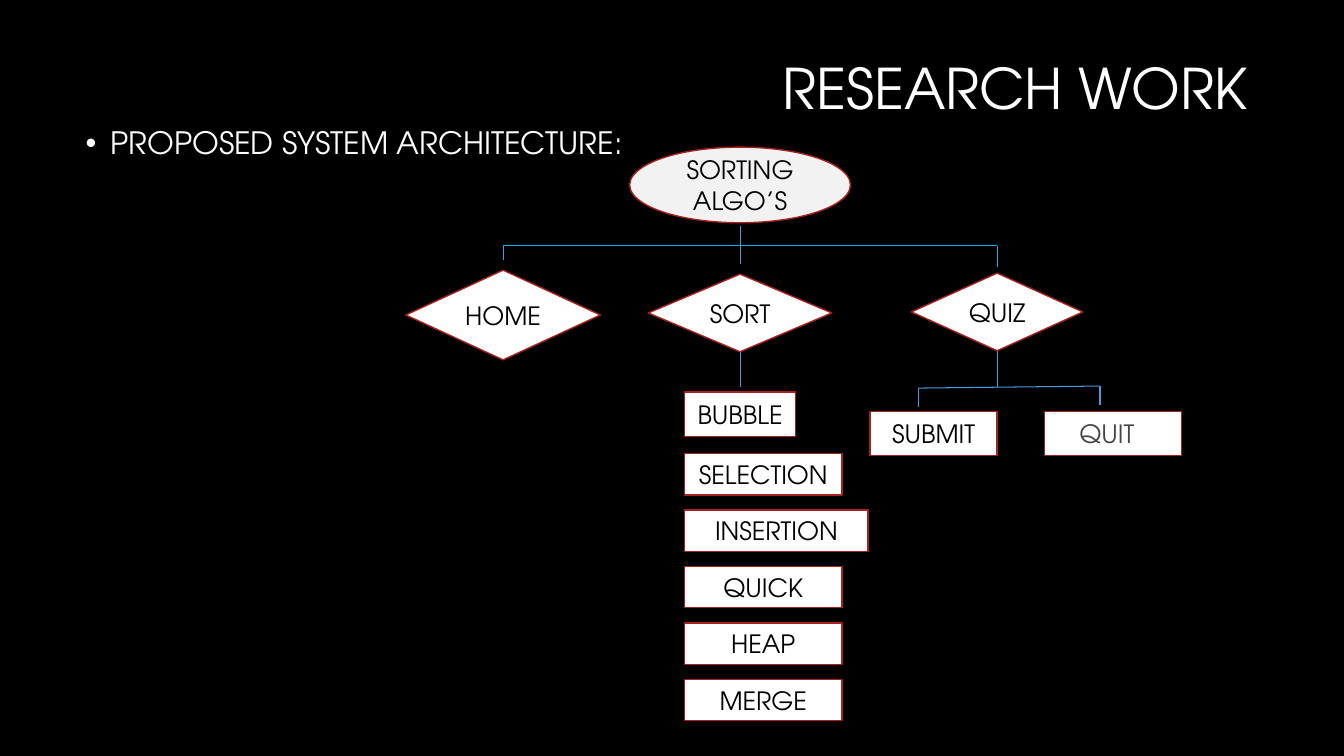
from lxml.etree import SubElement
from pptx import Presentation
from pptx.dml.color import RGBColor
from pptx.enum.shapes import MSO_CONNECTOR, MSO_SHAPE
from pptx.enum.text import MSO_ANCHOR, PP_ALIGN
from pptx.oxml.ns import qn
from pptx.util import Inches, Pt

BLACK = RGBColor(0x00, 0x00, 0x00)
WHITE = RGBColor(0xFF, 0xFF, 0xFF)
PALE = RGBColor(0xF2, 0xF2, 0xF2)
GREY = RGBColor(0x45, 0x45, 0x45)
RED = RGBColor(0xA5, 0x22, 0x1E)
BLUE = RGBColor(0x4A, 0x9B, 0xDC)
CYAN = RGBColor(0x00, 0xB0, 0xF0)
FONT = "TeX Gyre Adventor"

prs = Presentation()
prs.slide_width, prs.slide_height = Inches(13.33), Inches(7.5)
slide = prs.slides.add_slide(prs.slide_layouts[5])
slide.background.fill.solid()
slide.background.fill.fore_color.rgb = BLACK


def write(frame, text, size, color, align, anchor):
    frame.word_wrap = True
    frame.vertical_anchor = anchor
    paragraph = frame.paragraphs[0]
    paragraph.alignment = align
    run = paragraph.add_run()
    run.text = text
    run.font.name, run.font.size = FONT, Pt(size)
    run.font.color.rgb = color
    return paragraph


def add_node(preset, text, left, top, width, height, fill=WHITE, color=BLACK):
    node = slide.shapes.add_shape(preset, Inches(left), Inches(top), Inches(width), Inches(height))
    node.shadow.inherit = False
    node.fill.solid()
    node.fill.fore_color.rgb = fill
    node.line.color.rgb = RED
    node.line.width = Pt(1)
    write(node.text_frame, text, 18, color, PP_ALIGN.CENTER, MSO_ANCHOR.MIDDLE)
    return node


# Title
title = slide.shapes.title
title.left, title.top, title.width, title.height = (Inches(n) for n in (3.05, 0.2, 9.42, 1.41))
heading = write(title.text_frame, "RESEARCH WORK", 40, WHITE, PP_ALIGN.RIGHT, MSO_ANCHOR.MIDDLE)
heading.line_spacing = 0.9

# Bulleted subtitle
subtitle = slide.shapes.add_textbox(Inches(0.75), Inches(1.22), Inches(11.83), Inches(5.61))
topic = write(subtitle.text_frame, "PROPOSED SYSTEM ARCHITECTURE:", 22, WHITE, PP_ALIGN.LEFT, MSO_ANCHOR.TOP)
topic.line_spacing = 0.9
topic.space_before = Pt(10)
bullet = topic._p.get_or_add_pPr()
bullet.set("marL", str(Inches(0.25)))
bullet.set("indent", str(Inches(-0.25)))
SubElement(bullet, qn("a:buFont")).set("typeface", "Arial")
SubElement(bullet, qn("a:buChar")).set("char", "•")

# Root and its three branches, each centred on its column
HOME_X, SORT_X, QUIZ_X = 4.99, 7.34, 9.89
add_node(MSO_SHAPE.OVAL, "SORTING ALGO’S", SORT_X - 2.19 / 2, 1.46, 2.19, 0.75, PALE)
branches = {}
for label, center, top, width, height in [
    ("HOME", HOME_X, 2.68, 1.93, 0.89),
    ("SORT", SORT_X, 2.72, 1.82, 0.77),
    ("QUIZ", QUIZ_X, 2.71, 1.7, 0.77),
]:
    branches[label] = add_node(MSO_SHAPE.DIAMOND, label, center - width / 2, top, width, height)

# Sorting algorithms
add_node(MSO_SHAPE.RECTANGLE, "BUBBLE", 6.79, 3.89, 1.1, 0.44)
for row, (label, width) in enumerate([
    ("SELECTION", 1.56), ("INSERTION", 1.82), ("QUICK", 1.56), ("HEAP", 1.56), ("MERGE", 1.56),
]):
    add_node(MSO_SHAPE.RECTANGLE, label, 6.79, 4.5 + 0.56 * row, width, 0.41)

# Quiz actions
add_node(MSO_SHAPE.RECTANGLE, "SUBMIT", 8.63, 4.08, 1.26, 0.44)
quit_action = add_node(MSO_SHAPE.RECTANGLE, "QUIT", 10.36, 4.08, 1.36, 0.44, color=GREY)
quit_action.text_frame.margin_right = Inches(0.22)

# Tree lines: start, end, colour, branch they leave from
BUS_Y, FORK_Y = 2.44, 3.84
SUBMIT_X, QUIT_X = 9.11, 10.91
for x1, y1, x2, y2, color, branch in [
    (QUIZ_X, BUS_Y, HOME_X, BUS_Y, CYAN, None),
    (SORT_X, 2.24, SORT_X, BUS_Y, BLUE, None),
    (HOME_X, BUS_Y, HOME_X, 2.58, BLUE, None),
    (SORT_X, BUS_Y, SORT_X, 2.62, BLUE, None),
    (QUIZ_X, BUS_Y, QUIZ_X, 2.65, BLUE, None),
    (SORT_X, 3.49, SORT_X, FORK_Y, BLUE, "SORT"),
    (QUIZ_X, 3.48, QUIZ_X, FORK_Y, BLUE, "QUIZ"),
    (QUIT_X, 3.83, SUBMIT_X, 3.85, BLUE, None),
    (SUBMIT_X, 3.85, SUBMIT_X, 4.04, BLUE, None),
    (QUIT_X, 3.83, QUIT_X, 4.02, BLUE, None),
]:
    link = slide.shapes.add_connector(MSO_CONNECTOR.STRAIGHT, Inches(x1), Inches(y1), Inches(x2), Inches(y2))
    link.line.color.rgb = color
    link.line.width = Pt(0.75)
    SubElement(link._element.spPr, qn("a:effectLst"))
    if branch:
        link.begin_connect(branches[branch], 2)

prs.save("out.pptx")
